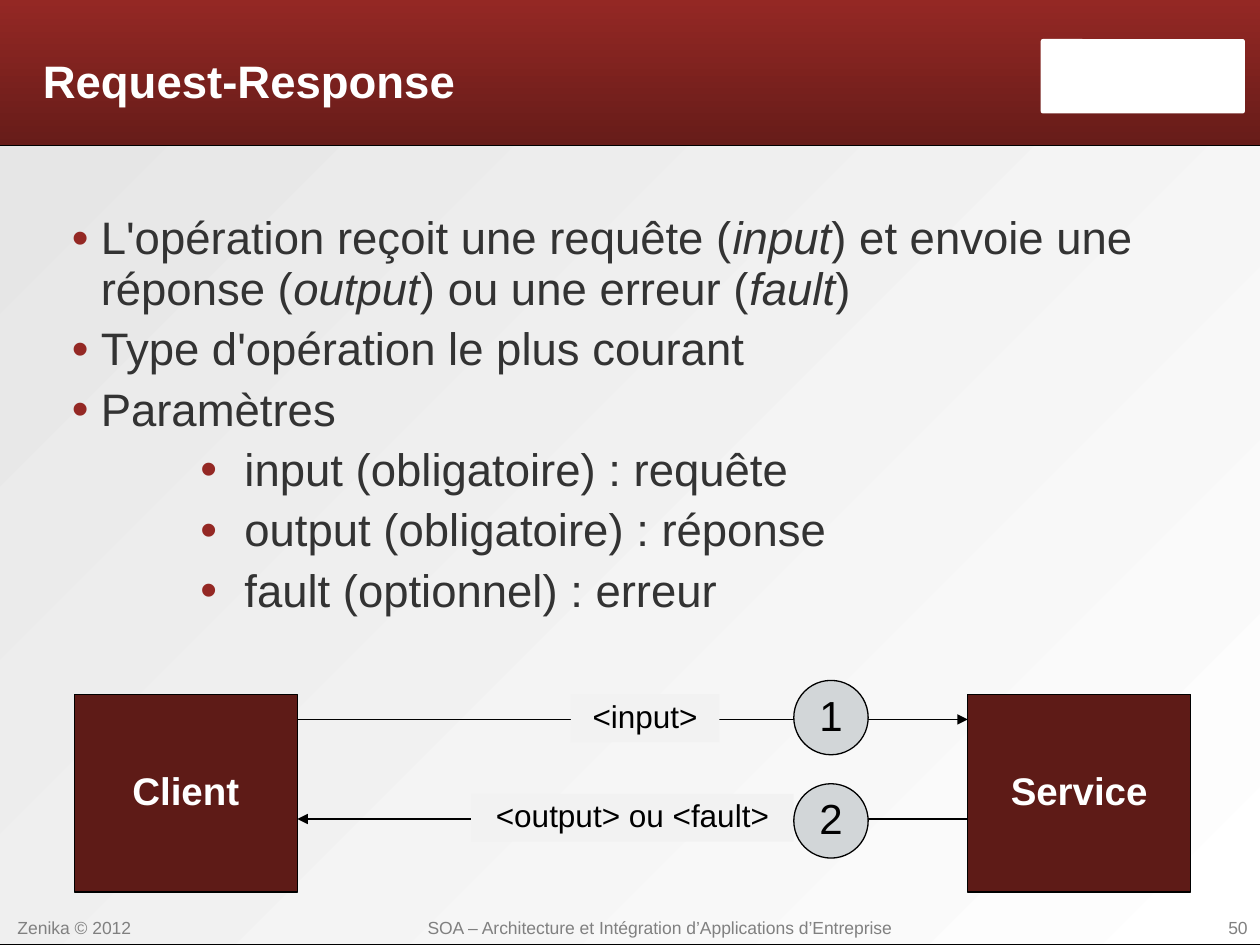
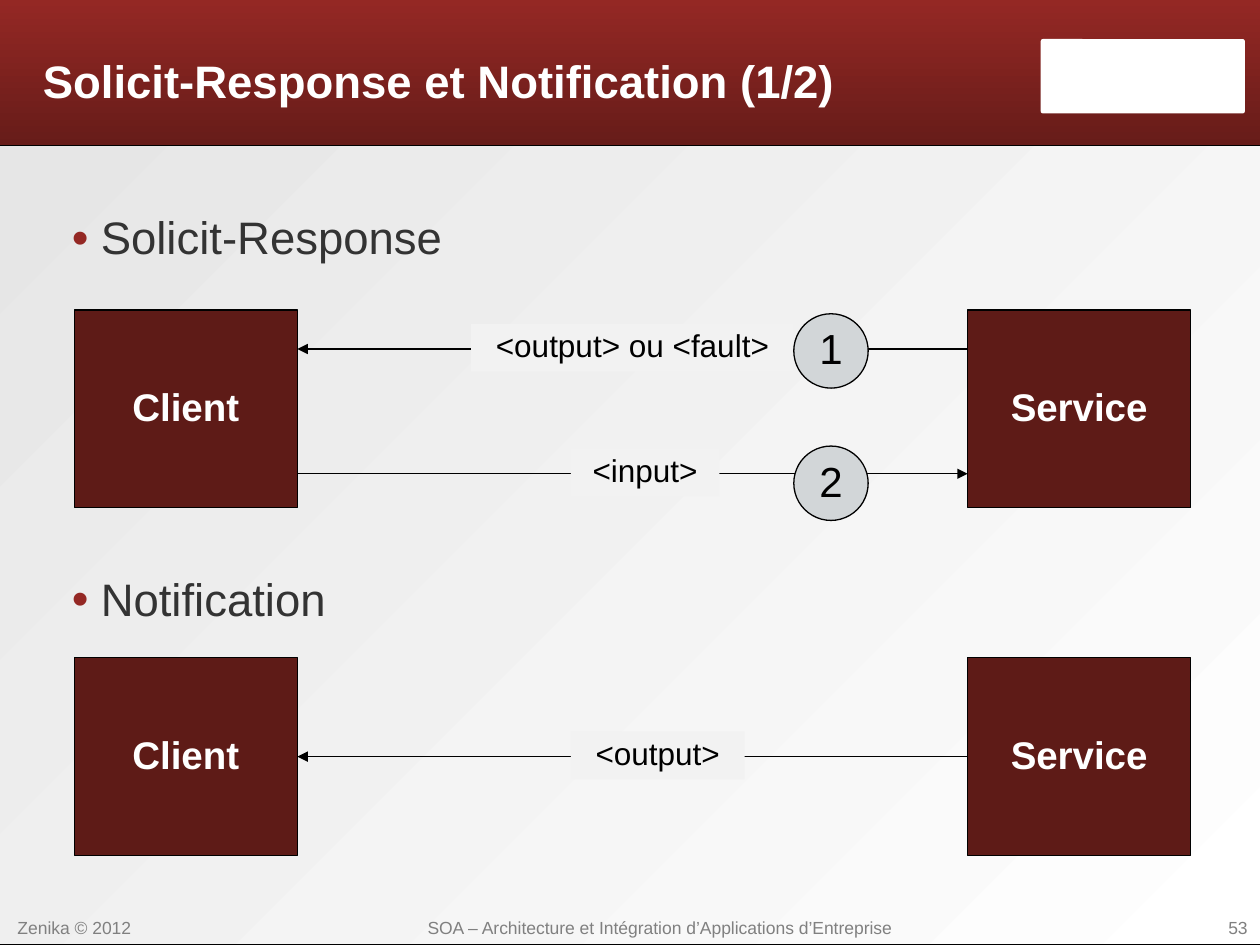
from dataclasses import dataclass

from lxml.etree import SubElement
from pptx import Presentation
from pptx.dml.color import RGBColor
from pptx.enum.shapes import MSO_CONNECTOR, MSO_SHAPE
from pptx.enum.text import MSO_ANCHOR, PP_ALIGN
from pptx.oxml.ns import qn
from pptx.util import Inches, Pt

# Colours
WHITE = RGBColor(0xFF, 0xFF, 0xFF)
BLACK = RGBColor(0, 0, 0)
RED = RGBColor(0x94, 0x28, 0x24)
DARK_RED = RGBColor(0x67, 0x1C, 0x19)
BOX_RED = RGBColor(0x5E, 0x1B, 0x17)
PALE_GREY = RGBColor(0xE6, 0xE6, 0xE6)
LABEL_GREY = RGBColor(0xF2, 0xF2, 0xF2)
MARKER_GREY = RGBColor(0xD2, 0xD6, 0xD8)
TEXT_GREY = RGBColor(0x33, 0x33, 0x33)
FOOTER_GREY = RGBColor(0x80, 0x80, 0x80)

# Text styles: font, line spacing and margins (left, top, right, bottom)
TITLE = {"font": {"size": Pt(26), "bold": True}, "color": WHITE,
         "spacing": 0.93, "margins": (0, 0.03, 0, 0)}
BODY = {"font": {"size": Pt(26)}, "color": TEXT_GREY,
        "spacing": 0.93, "margins": (0, 0.03, 0, 0)}
FOOTER = {"font": {"size": Pt(10)}, "color": FOOTER_GREY,
          "spacing": 0.93, "margins": (0.1, 0.06, 0.1, 0.05)}
PARTY = {"font": {"size": Pt(22), "bold": True}, "color": WHITE,
         "spacing": 0.83, "margins": (0.1, 0.07, 0.1, 0.05)}
LABEL = PARTY | {"font": {"size": Pt(18)}, "color": BLACK}
MARKER = PARTY | {"font": {"size": Pt(24)}, "color": BLACK}

# Left margin and first-line indent of each bullet level
BULLET_INDENTS = [(0.46, -0.23), (1.6, -0.35)]

# Sizes of an exchange diagram
PARTY_WIDTH, PARTY_HEIGHT = 1.77, 1.57
SERVICE_OFFSET = 7.09
MARKER_OFFSET, MARKER_SIZE = 5.71, 0.59
LABEL_HEIGHT = 0.38
EXCHANGE_LEFT = 0.59


@dataclass
class Message:
    text: str
    to_service: bool
    line_y: float
    label_offset: float
    label_width: float
    number: str = ""
    marker_y: float = 0


def input_message(line_y, number, marker_y):
    return Message("<input>", True, line_y, 3.94, 1.18, number, marker_y)


def answer_message(line_y, number, marker_y):
    return Message("<output> ou <fault>", False, line_y, 3.15, 2.56,
                   number, marker_y)


def set_values(target, values):
    for name, value in values.items():
        setattr(target, name, value)


def setup_frame(shape, style, anchor):
    frame = shape.text_frame
    sides = ("margin_left", "margin_top", "margin_right", "margin_bottom")
    set_values(frame, dict(zip(sides, map(Inches, style["margins"]))))
    set_values(frame, {"word_wrap": True, "vertical_anchor": anchor})
    return frame


def style_paragraph(paragraph, style, align=PP_ALIGN.LEFT):
    set_values(paragraph, {"alignment": align,
                           "line_spacing": style["spacing"]})
    set_values(paragraph.font, {"name": "Arial"} | style["font"])
    paragraph.font.color.rgb = style["color"]


def write_text(shape, text, style, align=PP_ALIGN.LEFT, anchor=MSO_ANCHOR.TOP):
    paragraph = setup_frame(shape, style, anchor).paragraphs[0]
    paragraph.text = text
    style_paragraph(paragraph, style, align)


def add_text(slide, box, text, style, **placing):
    write_text(slide.shapes.add_textbox(*map(Inches, box)), text, style,
               **placing)


def add_block(slide, kind, box, fill, outlined=False):
    shape = slide.shapes.add_shape(kind, *map(Inches, box))
    shape.shadow.inherit = False
    if isinstance(fill, RGBColor):
        shape.fill.solid()
        shape.fill.fore_color.rgb = fill
    else:
        start, end, angle = fill
        shape.fill.gradient()
        shape.fill.gradient_angle = angle
        for stop, color in zip(shape.fill.gradient_stops, (start, end)):
            stop.color.rgb = color
    if outlined:
        shape.line.color.rgb = BLACK
        shape.line.width = Pt(0.75)
    else:
        shape.line.fill.background()
    return shape


def add_arrow(slide, start, end):
    line = slide.shapes.add_connector(MSO_CONNECTOR.STRAIGHT,
                                      *map(Inches, start + end))
    line.line.color.rgb = BLACK
    line.line.width = Pt(0.75)
    SubElement(line.line._get_or_add_ln(), qn("a:tailEnd"), type="triangle")
    SubElement(line._element.spPr, qn("a:effectLst"))
    return line


def add_bullet(paragraph, level):
    left, indent = BULLET_INDENTS[level]
    properties = paragraph._p.get_or_add_pPr()
    properties.set("marL", str(Inches(left)))
    properties.set("indent", str(Inches(indent)))
    color = SubElement(properties, qn("a:buClr"))
    SubElement(color, qn("a:srgbClr"), val=str(RED))
    SubElement(properties, qn("a:buSzPct"), val="105000")
    SubElement(properties, qn("a:buFont"), typeface="Arial")
    SubElement(properties, qn("a:buChar"), char="•")


def add_bullets(slide, box, items):
    """Each item is a level and a text whose *starred* parts are italic."""
    frame = setup_frame(slide.shapes.add_textbox(*map(Inches, box)),
                        BODY, MSO_ANCHOR.TOP)
    for index, (level, text) in enumerate(items):
        paragraph = frame.add_paragraph() if index else frame.paragraphs[0]
        add_bullet(paragraph, level)
        style_paragraph(paragraph, BODY)
        if index:
            paragraph.space_before = Pt(5.5)
        for part_index, part in enumerate(text.split("*")):
            run = paragraph.add_run()
            run.text = part
            if part_index % 2:
                run.font.italic = True


def add_message(slide, left, top, message, client, service):
    # Arrow between the two parties
    y = top + message.line_y
    ends = [((left + PARTY_WIDTH, y), client, 3),
            ((left + SERVICE_OFFSET, y), service, 1)]
    if not message.to_service:
        ends.reverse()
    (start, source, source_side), (end, target, target_side) = ends
    arrow = add_arrow(slide, start, end)
    if message.line_y == PARTY_HEIGHT / 2:
        arrow.begin_connect(source, source_side)
        arrow.end_connect(target, target_side)

    # Label over the arrow
    label = add_block(slide, MSO_SHAPE.RECTANGLE,
                      (left + message.label_offset, y - 0.2,
                       message.label_width, LABEL_HEIGHT), LABEL_GREY)
    write_text(label, message.text, LABEL, PP_ALIGN.CENTER)

    # Order number
    if message.number:
        marker = add_block(slide, MSO_SHAPE.OVAL,
                           (left + MARKER_OFFSET, top + message.marker_y,
                            MARKER_SIZE, MARKER_SIZE), MARKER_GREY, True)
        write_text(marker, message.number, MARKER, PP_ALIGN.CENTER,
                   MSO_ANCHOR.MIDDLE)


def add_exchange(slide, left, top, messages):
    parties = []
    for name, offset in (("Client", 0), ("Service", SERVICE_OFFSET)):
        party = add_block(slide, MSO_SHAPE.RECTANGLE,
                          (left + offset, top, PARTY_WIDTH, PARTY_HEIGHT),
                          BOX_RED, True)
        write_text(party, name, PARTY, PP_ALIGN.CENTER, MSO_ANCHOR.MIDDLE)
        parties.append(party)
    for message in messages:
        add_message(slide, left, top, message, *parties)


def add_base_slide(presentation, title, number):
    slide = presentation.slides.add_slide(presentation.slide_layouts[6])
    # Background panel, title band and badge
    add_block(slide, MSO_SHAPE.RECTANGLE, (-0.04, 1.15, 10.16, 6.35),
              (WHITE, PALE_GREY, 135), True)
    add_block(slide, MSO_SHAPE.RECTANGLE, (-0.04, 0, 10.16, 1.15),
              (RED, DARK_RED, 270))
    badge = add_block(slide, MSO_SHAPE.ROUNDED_RECTANGLE,
                      (8.26, 0.31, 1.62, 0.59), WHITE)
    badge.adjustments[0] = 0.03
    # Footer
    for left, width, text, align in (
            (0.04, 1.18, "Zenika © 2012", PP_ALIGN.LEFT),
            (2.95, 4.57, "SOA – Architecture et Intégration "
                         "d’Applications d’Entreprise", PP_ALIGN.CENTER),
            (8.82, 1.18, number, PP_ALIGN.RIGHT)):
        add_text(slide, (left, 7.23, width, 0.17), text, FOOTER, align=align)
    # Title
    add_text(slide, (0.34, 0.15, 7.7, 0.99), title, TITLE,
             anchor=MSO_ANCHOR.MIDDLE)
    return slide


def build_request_response(presentation):
    slide = add_base_slide(presentation, "Request-Response", "50")
    add_bullets(slide, (0.34, 1.67, 9.23, 3.5), [
        (0, "L'opération reçoit une requête (*input*) et envoie une "
            "réponse (*output*) ou une erreur (*fault*)"),
        (0, "Type d'opération le plus courant"),
        (0, "Paramètres"),
        (1, "input (obligatoire) : requête"),
        (1, "output (obligatoire) : réponse"),
        (1, "fault (optionnel) : erreur"),
    ])
    add_exchange(slide, EXCHANGE_LEFT, 5.51, [
        input_message(0.2, "1", -0.11), answer_message(0.99, "2", 0.71)])


def build_solicit_notification(presentation):
    slide = add_base_slide(presentation,
                           "Solicit-Response et Notification (1/2)", "53")
    solicit = [input_message(1.3, "2", 1.08), answer_message(0.31, "1", 0.03)]
    notification = [Message("<output>", False, PARTY_HEIGHT / 2, 3.94, 1.38)]
    for heading, heading_top, exchange_top, messages in (
            ("Solicit-Response", 1.67, 2.46, solicit),
            ("Notification", 4.54, 5.22, notification)):
        add_bullets(slide, (0.34, heading_top, 9.23, 0.5), [(0, heading)])
        add_exchange(slide, EXCHANGE_LEFT, exchange_top, messages)


def main():
    presentation = Presentation()
    presentation.slide_width = Inches(10)
    presentation.slide_height = Inches(7.5)
    build_request_response(presentation)
    build_solicit_notification(presentation)
    presentation.save("out.pptx")


if __name__ == "__main__":
    main()
